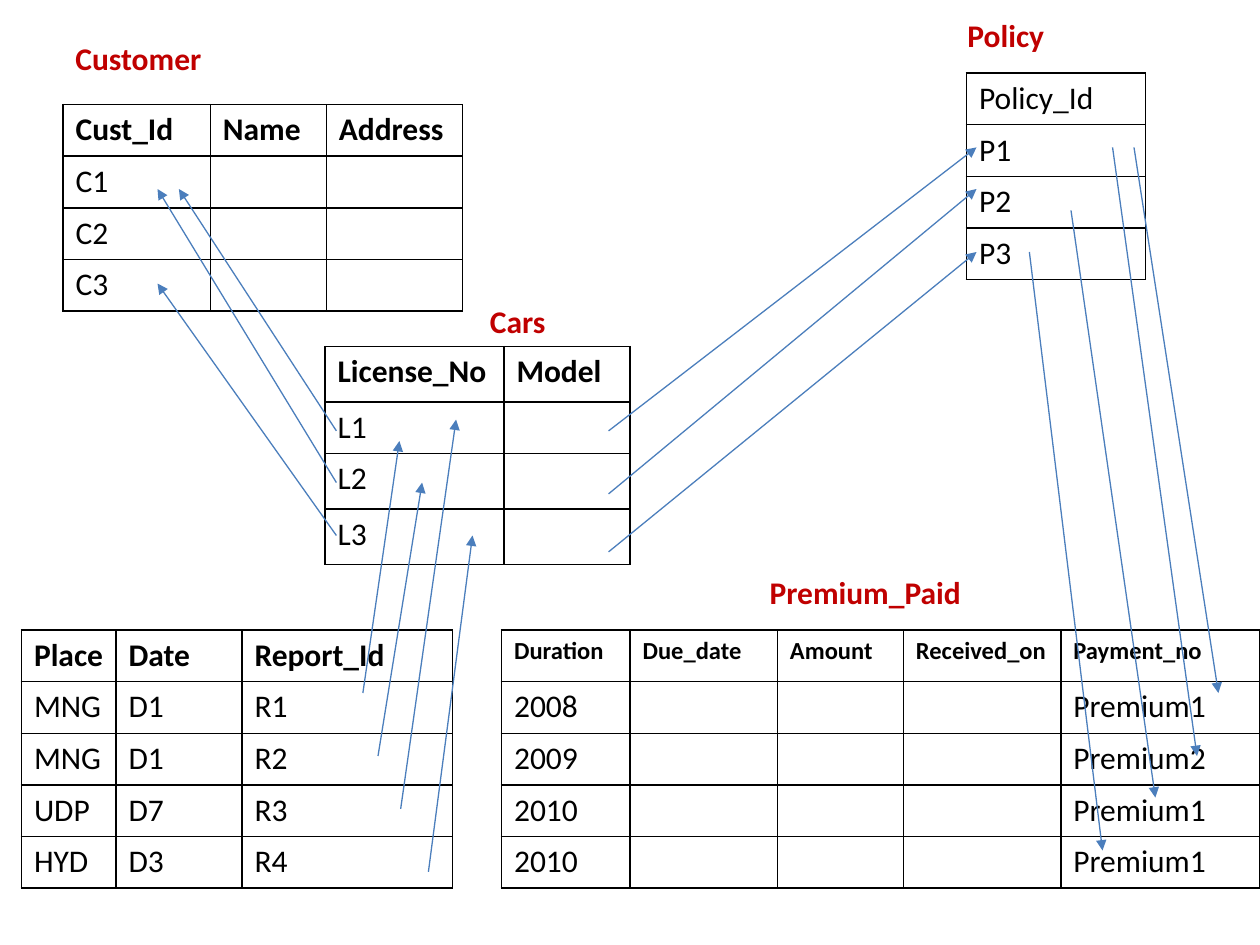
from lxml import etree
from pptx import Presentation
from pptx import util as u
from pptx.dml.color import RGBColor
from pptx.enum import shapes, text
from pptx.oxml.ns import qn

COLORS = {"text": "000000", "label": "C00000", "arrow": "4B7EBC", "border": "000000"}
BODY = {"name": "Calibri", "size": u.Pt(18), "bold": False}
ROW_H = 0.41


class Diagram:
    """Holds the style and the current slide."""

    def __init__(self, slide):
        self.shapes = slide.shapes

    def add_text(self, tf, content, color="text", **changes):
        r = tf.paragraphs[0].add_run()
        r.text = content
        for name, value in {**BODY, **changes}.items():
            setattr(r.font, name, value)
        r.font.color.rgb = RGBColor.from_string(COLORS[color])

    def label(self, content, x, y, w):
        tb = self.shapes.add_textbox(*map(u.Inches, (x, y, w, 0.4)))
        tf = tb.text_frame
        tf.word_wrap = False
        tf.auto_size = text.MSO_AUTO_SIZE.SHAPE_TO_FIT_TEXT
        self.add_text(tf, content, "label", bold=True)

    def borders(self, cell):
        tc_pr = cell._tc.get_or_add_tcPr()
        for i, side in enumerate(("lnL", "lnR", "lnT", "lnB")):
            ln = etree.Element(qn(f"a:{side}"), w=str(u.Pt(1)))
            fill = etree.SubElement(ln, qn("a:solidFill"))
            etree.SubElement(fill, qn("a:srgbClr"), val=COLORS["border"])
            tc_pr.insert(i, ln)

    def table(self, x, y, widths, rows, heights=None, head_size=18, head_bold=True):
        heights = heights or [ROW_H] * len(rows)
        frame = self.shapes.add_table(
            len(rows), len(widths),
            *map(u.Inches, (x, y, sum(widths), sum(heights))))
        tbl = frame.table
        tbl.first_row = tbl.horz_banding = False
        for col, w in zip(tbl.columns, widths):
            col.width = u.Inches(w)
        head = {"bold": head_bold, "size": u.Pt(head_size)}
        for i, (row, h) in enumerate(zip(rows, heights)):
            tbl.rows[i].height = u.Inches(h)
            for j, content in enumerate(row):
                cell = tbl.cell(i, j)
                cell.fill.background()
                self.borders(cell)
                if content:
                    self.add_text(cell.text_frame, content, **({} if i else head))

    def arrow(self, *ends):
        cn = self.shapes.add_connector(
            shapes.MSO_CONNECTOR.STRAIGHT, *map(u.Inches, ends))
        cn.line.width = u.Pt(0.75)
        cn.line.color.rgb = RGBColor.from_string(COLORS["arrow"])
        sp_pr = cn._element.spPr
        etree.SubElement(sp_pr.find(qn("a:ln")), qn("a:tailEnd"), type="triangle")
        etree.SubElement(sp_pr, qn("a:effectLst"))


def main():
    prs = Presentation()
    prs.slide_width, prs.slide_height = u.Inches(10), u.Inches(7.5)
    d = Diagram(prs.slides.add_slide(prs.slide_layouts[6]))

    # Cars
    d.table(2.58, 2.75, [1.42, 1],
            [["License_No", "Model"]] + [[f"L{n}", ""] for n in (1, 2, 3)],
            heights=[0.44, 0.41, 0.44, 0.44])
    # Customers
    d.table(0.5, 0.83, [1.17, 0.92, 1.08],
            [["Cust_Id", "Name", "Address"]] + [[f"C{n}", "", ""] for n in (1, 2, 3)])
    # Accident reports
    d.table(0.17, 5, [0.75, 1, 1.67], [
        ["Place", "Date", "Report_Id"],
        ["MNG", "D1", "R1"],
        ["MNG", "D1", "R2"],
        ["UDP", "D7", "R3"],
        ["HYD", "D3", "R4"]])
    # Policies
    d.table(7.67, 0.58, [1.42], [["Policy_Id"], ["P1"], ["P2"], ["P3"]],
            head_bold=False)
    # Premiums
    payments = [("2008", "Premium1"), ("2009", "Premium2"),
                ("2010", "Premium1"), ("2010", "Premium1")]
    d.table(3.98, 5, [1.02, 1.17, 1, 1.25, 1.58],
            [["Duration", "Due_date", "Amount", "Received_on", "Payment_no"]]
            + [[year, "", "", "", premium] for year, premium in payments],
            head_size=14)

    # Links between rows: from x, y to x, y
    links = [
        # cars to customers
        (2.67, 3.42, 1.42, 1.5), (2.67, 3.83, 1.25, 1.5), (2.67, 4.25, 1.25, 2.25),
        # cars to policies
        (4.83, 3.42, 7.75, 1.17), (4.83, 3.92, 7.75, 1.5), (4.83, 4.38, 7.75, 2),
        # policies to premiums
        (9, 1.17, 9.67, 5.5), (8.83, 1.17, 9.5, 6),
        (8.5, 1.67, 9.17, 6.33), (8.17, 2, 8.75, 6.75),
        # reports to cars
        (2.88, 5.5, 3.17, 3.5), (3.18, 6.42, 3.62, 3.33),
        (3, 6, 3.35, 3.83), (3.4, 6.92, 3.75, 4.25),
    ]
    for link in links:
        d.arrow(*link)

    # Table names
    for name, x, y, w in [("Customer", 0.5, 0.26, 1.21), ("Policy", 7.58, 0.08, 0.81),
                          ("Cars", 3.79, 2.35, 0.65), ("Premium_Paid", 6.01, 4.5, 1.73)]:
        d.label(name, x, y, w)

    prs.save("out.pptx")


if __name__ == "__main__":
    main()
